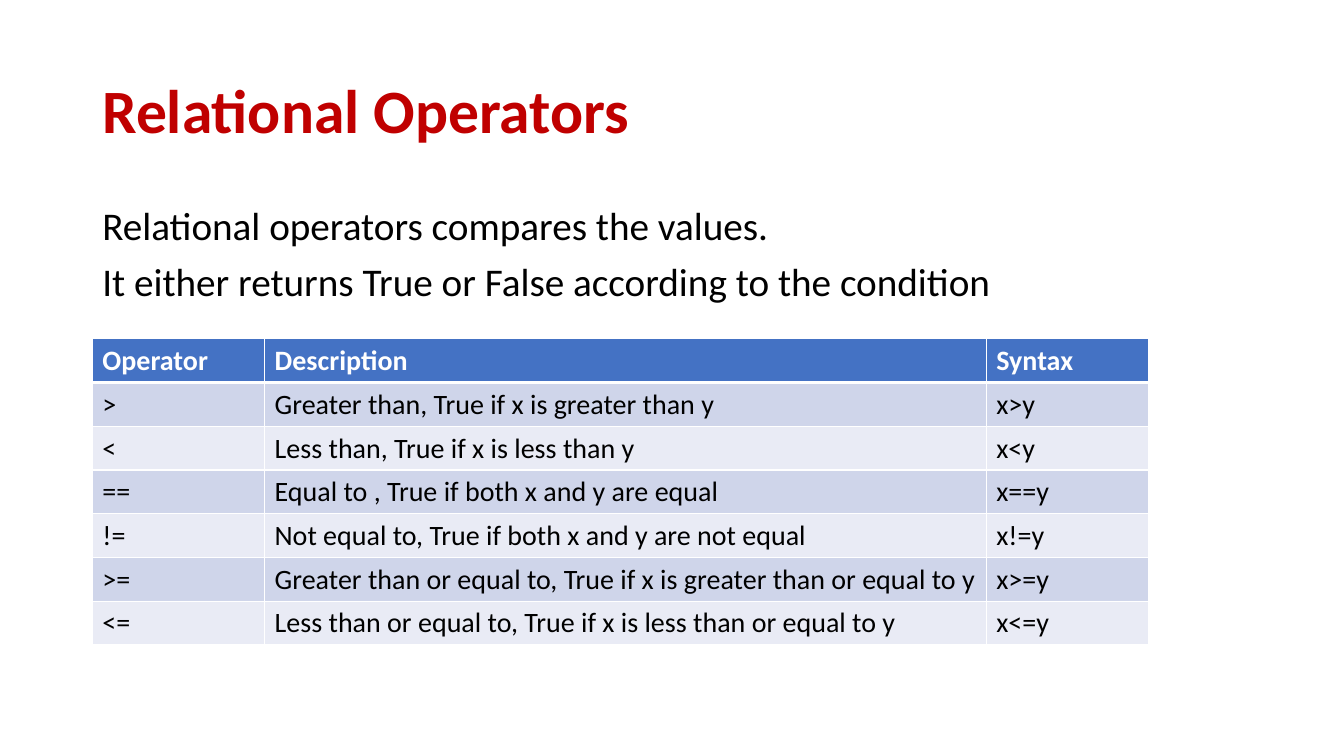
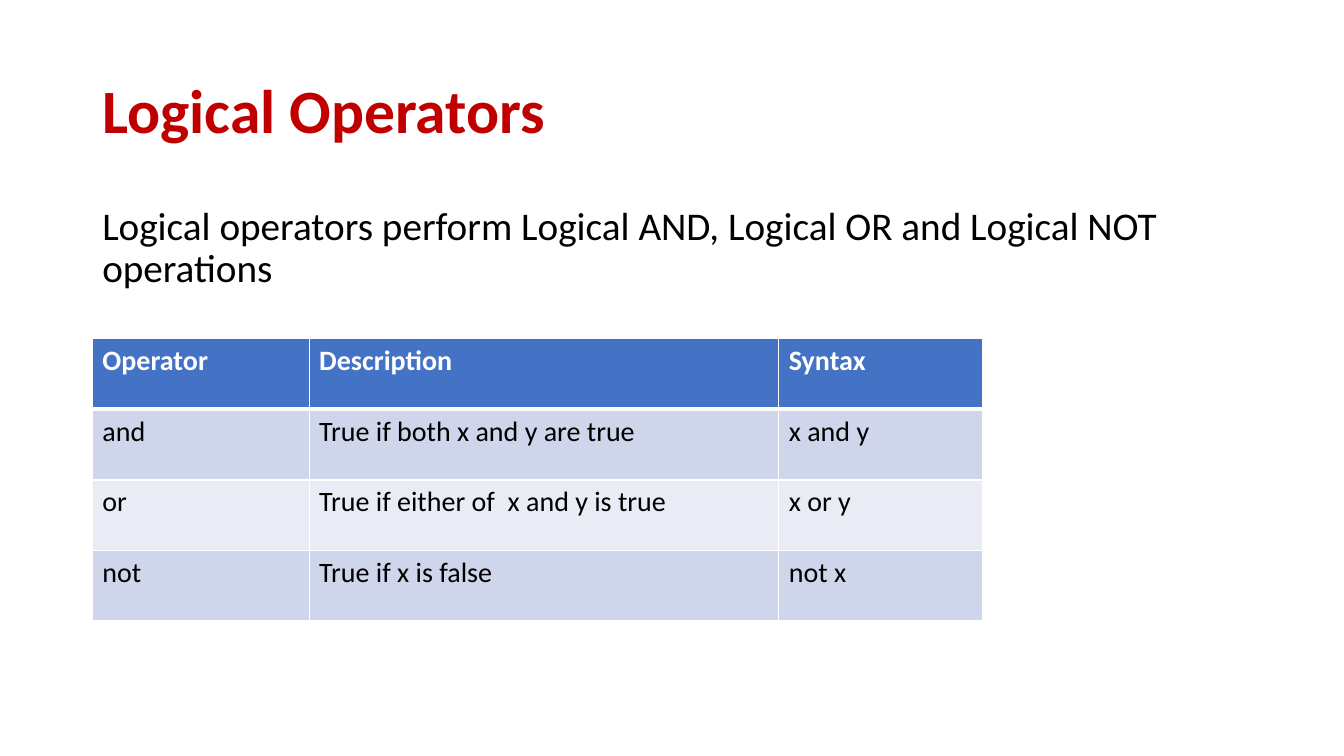
from lxml.etree import SubElement
from pptx import Presentation
from pptx.dml.color import RGBColor
from pptx.enum.text import MSO_ANCHOR
from pptx.oxml.ns import qn
from pptx.util import Pt

RED = RGBColor(0xC0, 0x00, 0x00)
BLACK = RGBColor(0x00, 0x00, 0x00)
WHITE = RGBColor(0xFF, 0xFF, 0xFF)
BLUE = RGBColor(0x44, 0x72, 0xC4)
BANDS = (RGBColor(0xCF, 0xD5, 0xEA), RGBColor(0xE9, 0xEB, 0xF5))

TITLE_FONT = {"name": "Calibri", "size": Pt(44), "bold": True, "color": RED}
BODY_FONT = {"name": "Calibri", "size": Pt(28), "bold": False, "color": BLACK}
HEADER_FONT = {"name": "Calibri", "size": Pt(20), "bold": True, "color": WHITE}
CELL_FONT = {**HEADER_FONT, "bold": False, "color": BLACK}

# Boxes are left, top, width and height in points.
TITLE_BOX = (66, 28.8, 828, 104.4)
BODY_BOX = (66, 144, 828, 342.7)
TABLE_CORNER = (66, 242)
HEADER = ("Operator", "Description", "Syntax")
THIN, THICK = 1, 3

SLIDES = (
    {
        "title": "Relational Operators",
        "body": (
            "Relational operators compares the values.",
            "It either returns True or False according to the condition",
        ),
        "widths": (123, 515.5, 116),
        "row_height": 29.5,
        "rows": (
            (">", "Greater than, True if x is greater than y", "x>y"),
            ("<", "Less than, True if x is less than y", "x<y"),
            ("==", "Equal to , True if both x and y are equal", "x==y"),
            ("!=", "Not equal to, True if both x and y are not equal", "x!=y"),
            (">=", "Greater than or equal to, True if x is greater than or equal to y", "x>=y"),
            ("<=", "Less than or equal to, True if x is less than or equal to y", "x<=y"),
        ),
    },
    {
        "title": "Logical Operators",
        "body": ("Logical operators perform Logical AND, Logical OR and Logical NOT operations",),
        "widths": (154.8, 335.5, 145.4),
        "row_height": 50.4,
        "rows": (
            ("and", "True if both x and y are true", "x and y"),
            ("or", "True if either of  x and y is true", "x or y"),
            ("not", "True if x is false", "not x"),
        ),
    },
)


def write_run(paragraph, text, font_format):
    """Add text to a paragraph with the given font format."""
    run = paragraph.add_run()
    run.text = text
    for name, value in font_format.items():
        if name == "color":
            run.font.color.rgb = value
        else:
            setattr(run.font, name, value)


def add_text(slide, box, lines, font_format, anchor=MSO_ANCHOR.TOP, space_before=0):
    """Place one paragraph per line in a wrapping text box."""
    frame = slide.shapes.add_textbox(*map(Pt, box)).text_frame
    frame.word_wrap = True
    frame.vertical_anchor = anchor
    for index, line in enumerate(lines):
        paragraph = frame.add_paragraph() if index else frame.paragraphs[0]
        paragraph.line_spacing = 0.9
        paragraph.space_before = Pt(space_before)
        write_run(paragraph, line, font_format)


def set_borders(cell, top, bottom):
    """Give a cell white borders, with the top and bottom widths in points."""
    properties = cell._tc.get_or_add_tcPr()
    for side, width in (("L", THIN), ("R", THIN), ("T", top), ("B", bottom)):
        line = SubElement(properties, qn(f"a:ln{side}"), w=str(Pt(width)))
        fill = SubElement(line, qn("a:solidFill"))
        SubElement(fill, qn("a:srgbClr"), val=str(WHITE))


def add_operator_table(slide, corner, widths, row_height, rows):
    """Place a banded table with a header row at the given corner."""
    all_rows = (HEADER, *rows)
    size = (sum(widths), row_height * len(all_rows))
    table = slide.shapes.add_table(
        len(all_rows), len(widths), *map(Pt, (*corner, *size))
    ).table
    for column, width in zip(table.columns, widths):
        column.width = Pt(width)
    for index, texts in enumerate(all_rows):
        table.rows[index].height = Pt(row_height)
        for column, text in enumerate(texts):
            cell = table.cell(index, column)
            set_borders(
                cell,
                top=THICK if index == 1 else THIN,
                bottom=THICK if index == 0 else THIN,
            )
            cell.fill.solid()
            cell.fill.fore_color.rgb = BANDS[(index - 1) % 2] if index else BLUE
            font_format = CELL_FONT if index else HEADER_FONT
            write_run(cell.text_frame.paragraphs[0], text, font_format)


def add_operator_slide(presentation, content):
    """Add a slide with a title, an introduction and a table of operators."""
    slide = presentation.slides.add_slide(presentation.slide_layouts[6])
    add_text(slide, TITLE_BOX, (content["title"],), TITLE_FONT, anchor=MSO_ANCHOR.MIDDLE)
    add_text(slide, BODY_BOX, content["body"], BODY_FONT, space_before=10)
    add_operator_table(
        slide, TABLE_CORNER, content["widths"], content["row_height"], content["rows"]
    )


presentation = Presentation()
presentation.slide_width, presentation.slide_height = Pt(960), Pt(540)
for content in SLIDES:
    add_operator_slide(presentation, content)
presentation.save("out.pptx")
